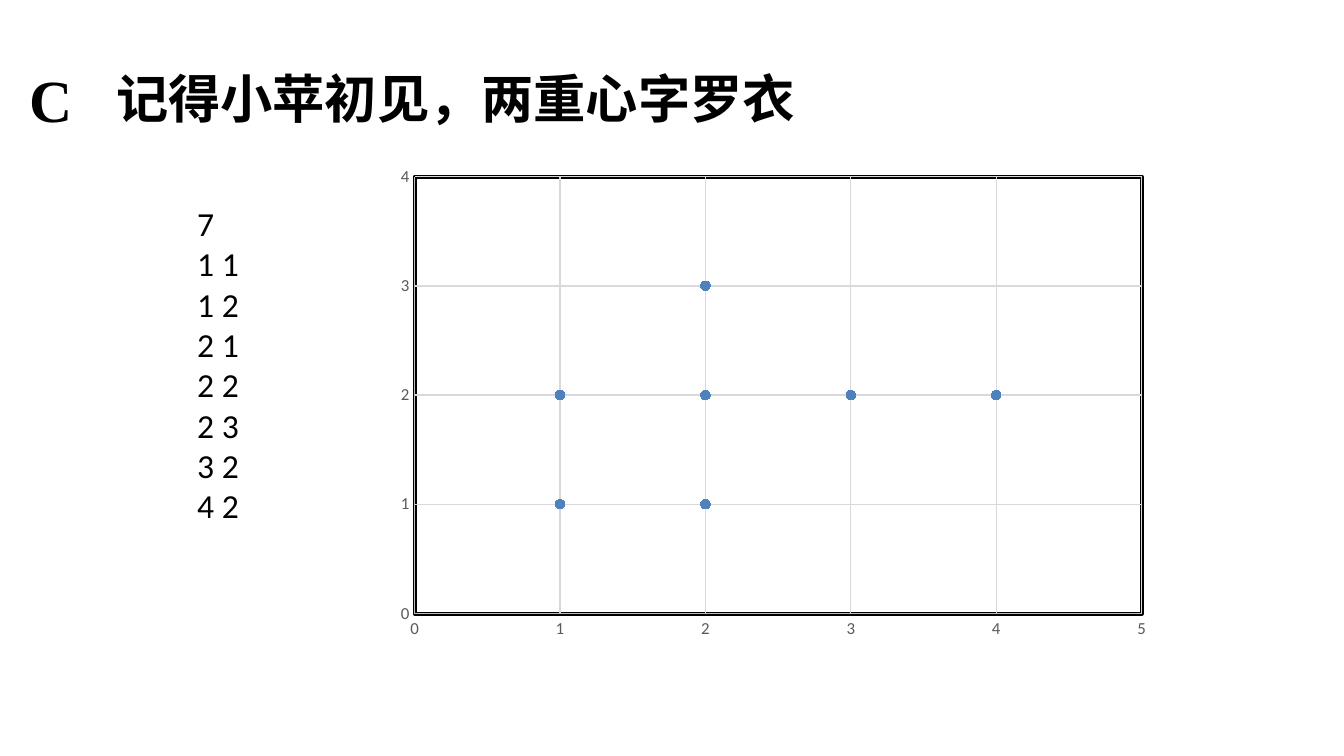
"""Build a slide with a title, a list of points and their scatter chart."""
from dataclasses import dataclass

from lxml.etree import SubElement
from pptx import Presentation
from pptx.chart.axis import ValueAxis
from pptx.chart.data import XyChartData
from pptx.dml.color import RGBColor
from pptx.enum.chart import XL_CHART_TYPE, XL_MARKER_STYLE, XL_TICK_MARK
from pptx.enum.text import MSO_ANCHOR
from pptx.oxml import parse_xml
from pptx.oxml.ns import nsdecls, qn
from pptx.slide import Slide
from pptx.util import Emu, Pt


@dataclass(frozen=True)
class Theme:
    """Colours, fonts and type sizes."""
    ink: RGBColor = RGBColor(0, 0, 0)
    grey: RGBColor = RGBColor(0x59, 0x59, 0x59)
    axis: RGBColor = RGBColor(0xBF, 0xBF, 0xBF)
    grid: RGBColor = RGBColor(0xD9, 0xD9, 0xD9)
    dot: RGBColor = RGBColor(0x4F, 0x81, 0xBD)
    sans: str = "Calibri"
    serif: str = "Times New Roman"
    asian: str = "Noto Sans CJK JP"
    mark: int = 32
    title: int = 28
    body: int = 18
    chart: int = 10
    tick: int = 9
    line: float = 0.75


@dataclass(frozen=True)
class Label:
    """A text box in pixels."""
    lines: list[str]
    box: tuple[int, int, int, int]
    size: int
    font: str
    bold: bool = False
    anchor: MSO_ANCHOR = MSO_ANCHOR.TOP
    inset: int = 7


THEME = Theme()
POINTS = [(1, 1), (1, 2), (2, 1), (2, 2), (2, 3), (3, 2), (4, 2)]
ROWS = [str(len(POINTS))] + [f"{x} {y}" for x, y in POINTS]
LABELS = [
    Label(["C"], (16, 50, 63, 51), THEME.mark, THEME.serif, True, inset=13),
    Label(["记得小苹初见，两重心字罗衣"], (103, 62, 1223, 71), THEME.title,
          THEME.asian, True, MSO_ANCHOR.MIDDLE),
    Label(ROWS, (184, 196, 204, 336), THEME.body, THEME.sans),
]
CHART = (399, 155, 781, 503)
PLOT = {"x": 0.02, "y": 0.043, "w": 0.931, "h": 0.869}


def px(count: float) -> Emu:
    """Turn pixels into EMU."""
    return Emu(round(count * 914400 / 134.4))


def write(slide: Slide, label: Label) -> None:
    """Draw one text box."""
    frame = slide.shapes.add_textbox(*map(px, label.box)).text_frame
    frame.word_wrap = True
    frame.vertical_anchor = label.anchor
    frame.margin_top = px(label.inset)
    frame.text = "\n".join(label.lines)
    for para in frame.paragraphs:
        font = para.font
        font.size, font.bold = Pt(label.size), label.bold
        font.name = label.font
        font.color.rgb = THEME.ink
        props = para._p.pPr.find(qn("a:defRPr"))
        SubElement(props, qn("a:ea"), typeface=label.font)


def style(axis: ValueAxis, top: int) -> None:
    """Set the scale, grid and type of one axis."""
    axis.minimum_scale, axis.maximum_scale, axis.major_unit = 0, top, 1
    axis.has_major_gridlines = True
    axis.major_tick_mark = axis.minor_tick_mark = XL_TICK_MARK.NONE
    for form, color in ((axis.format, THEME.axis),
                        (axis.major_gridlines.format, THEME.grid)):
        form.line.color.rgb = color
        form.line.width = Pt(THEME.line)
    font = axis.tick_labels.font
    font.size, font.name = Pt(THEME.tick), THEME.sans
    font.color.rgb = THEME.grey


def plot(slide: Slide) -> None:
    """Draw the scatter chart."""
    data = XyChartData()
    group = data.add_series("Series 1")
    for x, y in POINTS:
        group.add_data_point(x, y)
    chart = slide.shapes.add_chart(
        XL_CHART_TYPE.XY_SCATTER, *map(px, CHART), data).chart
    chart.has_legend = chart.has_title = False
    chart.font.size, chart.font.name = Pt(THEME.chart), THEME.sans
    chart.font.color.rgb = THEME.ink
    style(chart.category_axis, 5)
    style(chart.value_axis, 4)
    chart.plots[0].vary_by_categories = False
    series = chart.plots[0].series[0]
    series.smooth = False
    series.format.line.fill.background()
    marker = series.marker
    marker.style, marker.size = XL_MARKER_STYLE.CIRCLE, 5
    marker.format.fill.solid()
    marker.format.fill.fore_color.rgb = THEME.dot
    marker.format.line.color.rgb = THEME.dot
    frame(chart._chartSpace.chart.plotArea)


def frame(area) -> None:
    """Place the plot area and give it a double border."""
    old = area.find(qn("c:layout"))
    if old is not None:
        area.remove(old)
    sizes = "".join(f'<c:{key} val="{val}"/>' for key, val in PLOT.items())
    area.insert(0, parse_xml(
        f'<c:layout {nsdecls("c")}><c:manualLayout>'
        '<c:layoutTarget val="inner"/><c:xMode val="edge"/>'
        f'<c:yMode val="edge"/>{sizes}</c:manualLayout></c:layout>'))
    area.append(parse_xml(
        f'<c:spPr {nsdecls("c", "a")}>'
        '<a:solidFill><a:srgbClr val="FFFFFF"/></a:solidFill>'
        f'<a:ln w="{Pt(2.25)}" cmpd="dbl"><a:solidFill>'
        f'<a:srgbClr val="{THEME.ink}"/></a:solidFill></a:ln></c:spPr>'))


def main() -> None:
    """Build and save the slide."""
    deck = Presentation()
    deck.slide_width, deck.slide_height = px(1344), px(756)
    slide = deck.slides.add_slide(deck.slide_layouts[6])
    for label in LABELS:
        write(slide, label)
    plot(slide)
    deck.save("out.pptx")


main()
